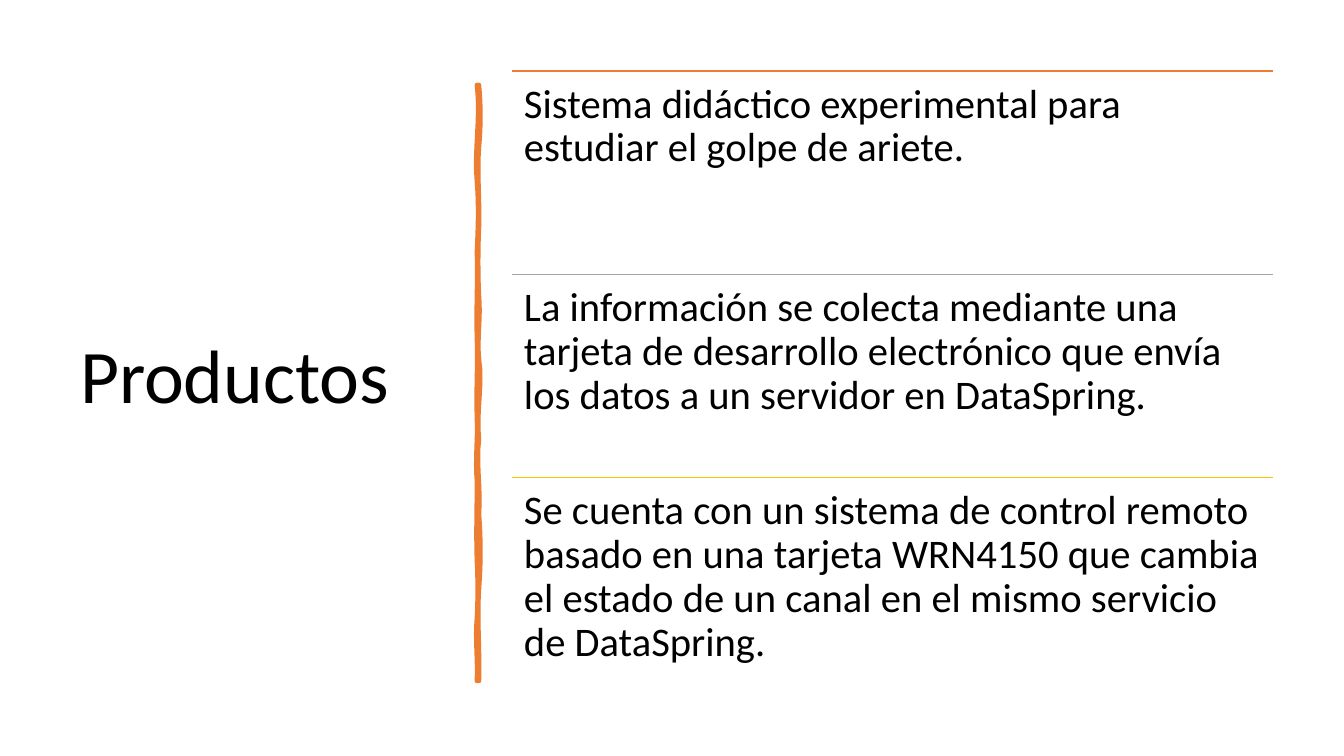
from lxml import etree
from pptx import Presentation
from pptx import util as u
from pptx.dml.color import RGBColor
from pptx.enum import shapes, text
from pptx.oxml.ns import qn

PX = 12192000 / 1344
HEX = {"ink": "000000", "orange": "ED7D31", "gray": "A5A5A5", "gold": "FFC000"}
GOALS = [
    ("orange", "Sistema didáctico experimental para estudiar el golpe de ariete."),
    ("gray", "La información se colecta mediante una tarjeta de desarrollo "
             "electrónico que envía los datos a un servidor en DataSpring."),
    ("gold", "Se cuenta con un sistema de control remoto basado en una tarjeta "
             "WRN4150 que cambia el estado de un canal en el mismo servicio "
             "de DataSpring."),
]
# Each bend: end height and the sideways pull of its two handles
DOWN = [(62, 2, 2), (143, -2, 1), (211, -1, -1), (274, 2, -2),
        (354, 4, -3), (429, -3, 2), (504, 2, 2), (596, -2, 1)]
UP = [(533, 1, -2), (476, 1, 1), (396, -1, 0), (333, -2, 1),
      (253, -1, 1), (167, -1, 1), (97, 1, 2), (0, -3, 4)]


def px(n):
    return u.Emu(round(n * PX))


def tint(name):
    return RGBColor.from_string(HEX[name])


def write(frame, words, size, inset=10, anchor=text.MSO_ANCHOR.TOP):
    frame.word_wrap = True
    frame.auto_size = text.MSO_AUTO_SIZE.NONE
    frame.vertical_anchor = anchor
    frame.margin_left = frame.margin_right = px(inset)
    frame.margin_top = frame.margin_bottom = px(inset)
    para = frame.paragraphs[0]
    para.text = words
    para.alignment = text.PP_ALIGN.LEFT
    para.line_spacing = 0.9
    para.font.size = u.Pt(size)
    para.font.name = "Calibri"
    para.font.color.rgb = tint("ink")


def head(slide, x, y, w, h):
    title = slide.shapes.title
    title.left, title.top, title.width, title.height = map(px, (x, y, w, h))
    write(title.text_frame, "Productos", 54, anchor=text.MSO_ANCHOR.MIDDLE)


def edge(x, y, bends, steps=8):
    """Points along one wavy side that starts at height y."""
    dots = []
    for end, a, b in bends:
        for i in range(1, steps + 1):
            t = i / steps
            pull = 3 * t * (1 - t) * ((1 - t) * a + t * b)
            dots.append((px(x + pull), px(y + (end - y) * t)))
        y = end
    return dots


def brush(slide, x, y, w):
    """Hand-drawn upright bar."""
    dots = edge(w, 0, DOWN) + [(px(0), px(596))] + edge(0, 596, UP)
    form = slide.shapes.build_freeform(px(w), 0)
    form.add_line_segments(dots, close=True)
    bar = form.convert_to_shape(px(x), px(y))
    bar.shadow.inherit = False
    bar.fill.solid()
    bar.fill.fore_color.rgb = tint("orange")
    bar.line.color.rgb = tint("orange")
    bar.line.width = u.Pt(3.25)
    etree.SubElement(bar.line._get_or_add_ln(), qn("a:round"))


def rows(slide, x, y, w, h):
    """Equal rows, each under its own coloured rule."""
    step = h / len(GOALS)
    for i, (hue, words) in enumerate(GOALS):
        top = px(y + i * step)
        rule = slide.shapes.add_connector(
            shapes.MSO_CONNECTOR.STRAIGHT, px(x), top, px(x + w), top)
        rule.line.color.rgb = tint(hue)
        rule.line.width = u.Pt(1)
        etree.SubElement(rule._element.spPr, qn("a:effectLst"))
        box = slide.shapes.add_textbox(px(x), top, px(w), px(step))
        write(box.text_frame, words, 29, inset=12)


def main():
    deck = Presentation()
    deck.slide_width, deck.slide_height = px(1344), px(756)
    slide = deck.slides.add_slide(deck.slide_layouts[5])
    head(slide, 70, 71, 377, 616)
    brush(slide, 477, 85, 2)
    rows(slide, 512, 71, 761, 610)
    deck.save("out.pptx")


if __name__ == "__main__":
    main()
